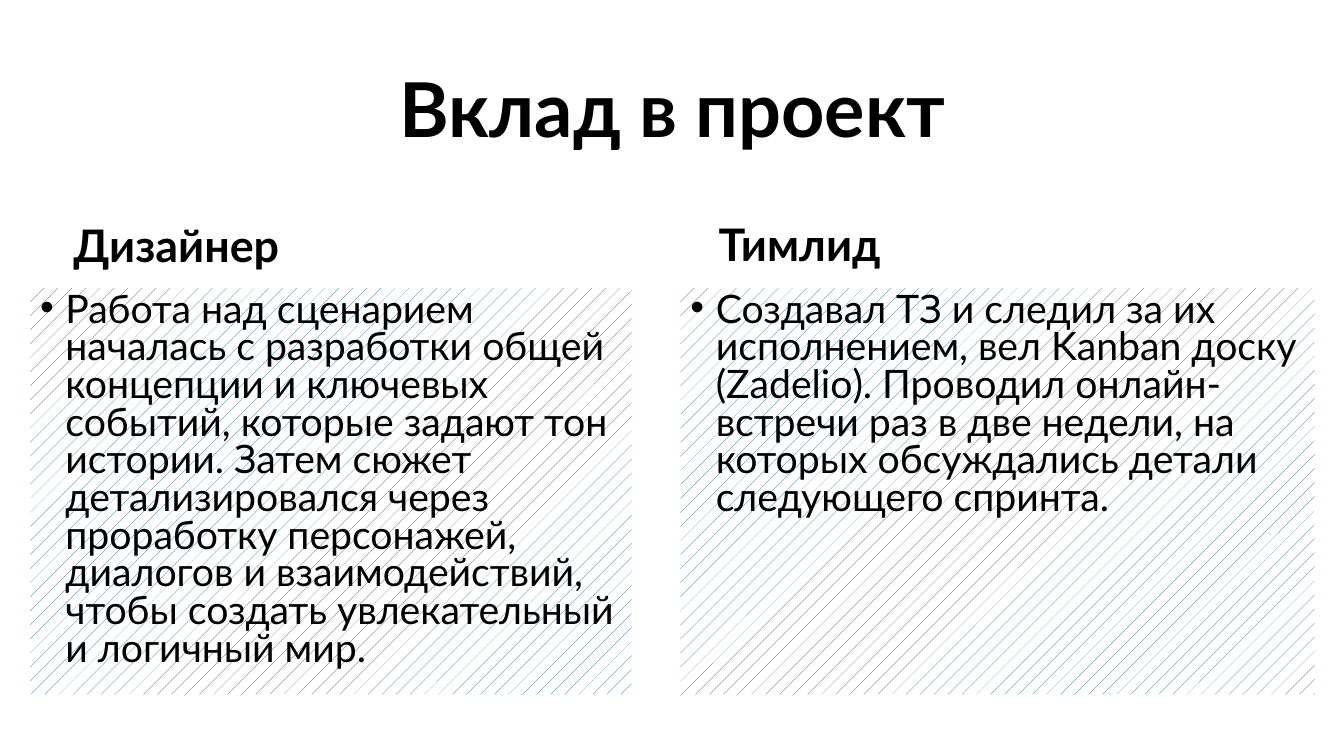
from lxml import etree
from pptx import Presentation
from pptx.dml.color import RGBColor
from pptx.enum.dml import MSO_PATTERN
from pptx.enum.shapes import MSO_SHAPE
from pptx.enum.text import MSO_ANCHOR, PP_ALIGN
from pptx.oxml.ns import qn
from pptx.util import Cm, Pt

COLORS = {"text": "000000", "hatch": "156082", "paper": "FFFFFF"}
FONT = "Lato"


def color(name):
    return RGBColor.from_string(COLORS[name])


def add_bullet(p, indent):
    pPr = p._p.get_or_add_pPr()
    pPr.set("marL", str(indent))
    pPr.set("indent", str(-indent))
    etree.SubElement(pPr, qn("a:buFont")).set("typeface", "Arial")
    etree.SubElement(pPr, qn("a:buChar")).set("char", "•")


def write(sp, text, size, bold=False, align=PP_ALIGN.LEFT, anchor=MSO_ANCHOR.TOP,
          line=0.9, before=0, bullet=False):
    tf = sp.text_frame
    tf.word_wrap = True
    tf.vertical_anchor = anchor
    p = tf.paragraphs[0]
    p.alignment = align
    p.line_spacing = line
    p.space_before = Pt(before)
    if bullet:
        add_bullet(p, Cm(0.64))
    r = p.add_run()
    r.text = text
    r.font.name = FONT
    r.font.size = Pt(size)
    r.font.bold = bold
    r.font.color.rgb = color("text")


def title(s, left, top, width, height, text):
    sp = s.shapes.add_textbox(Cm(left), Cm(top), Cm(width), Cm(height))
    write(sp, text, 54, bold=True, align=PP_ALIGN.CENTER, anchor=MSO_ANCHOR.MIDDLE)


def hatched_panel(s, left, top, width, height):
    sp = s.shapes.add_shape(MSO_SHAPE.RECTANGLE, Cm(left), Cm(top), Cm(width), Cm(height))
    sp.shadow.inherit = False
    sp.line.fill.background()
    sp.fill.patterned()
    sp.fill.pattern = MSO_PATTERN.PERCENT_5
    sp.fill.fore_color.rgb = color("hatch")
    sp.fill.back_color.rgb = color("paper")
    return sp


def role_column(s, left, top, width, height, role, text, inset, lift):
    sp = s.shapes.add_textbox(Cm(left + inset), Cm(top - lift), Cm(14.35), Cm(2.29))
    write(sp, role, 32, bold=True, anchor=MSO_ANCHOR.BOTTOM, before=10)
    panel = hatched_panel(s, left, top, width, height)
    write(panel, text, 28, line=0.8, before=10, bullet=True)


def main():
    prs = Presentation()
    prs.slide_width, prs.slide_height = Cm(33.87), Cm(19.05)
    s = prs.slides.add_slide(prs.slide_layouts[6])
    title(s, 2.34, 1.02, 29.21, 3.68, "Вклад в проект")
    role_column(
        s, 0.76, 7.26, 15.16, 10.24, "Дизайнер",
        "Работа над сценарием началась с разработки общей концепции и ключевых "
        "событий, которые задают тон истории. Затем сюжет детализировался через "
        "проработку персонажей, диалогов и взаимодействий, чтобы создать "
        "увлекательный и логичный мир.",
        inset=0.84, lift=2.56)
    role_column(
        s, 17.15, 7.26, 15.98, 10.24, "Тимлид",
        "Создавал ТЗ и следил за их исполнением, вел Kanban доску (Zadelio). "
        "Проводил онлайн-встречи раз в две недели, на которых обсуждались детали "
        "следующего спринта.",
        inset=0.71, lift=2.59)
    prs.save("out.pptx")


if __name__ == "__main__":
    main()
